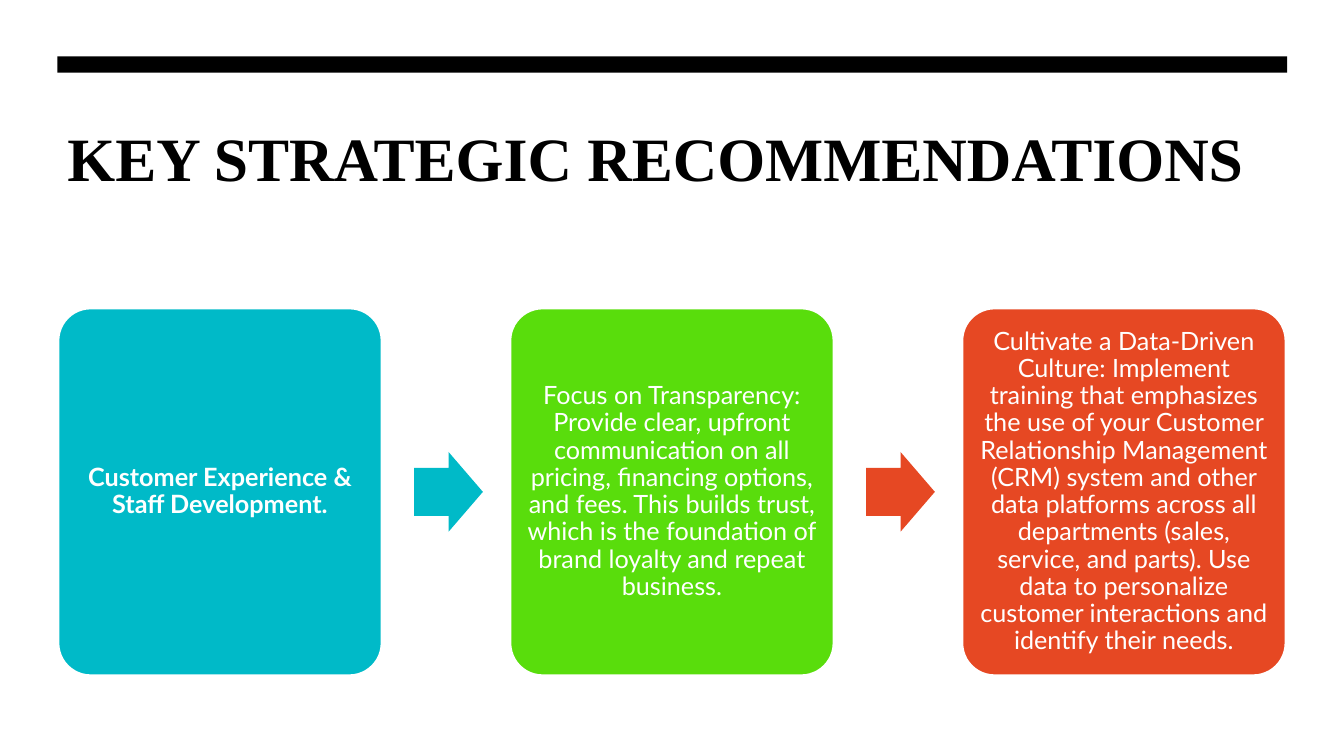
from dataclasses import dataclass

from pptx import Presentation
from pptx.dml.color import RGBColor
from pptx.enum.shapes import MSO_SHAPE as Shape
from pptx.enum.text import MSO_ANCHOR as Anchor, PP_ALIGN as Align
from pptx.shapes.autoshape import Shape as AutoShape
from pptx.slide import Slide
from pptx.text.text import TextFrame
from pptx.util import Cm, Pt


@dataclass(frozen=True)
class Theme:
    white: str = "FFFFFF"
    black: str = "000000"
    teal: str = "00BAC8"
    green: str = "59DD0C"
    red: str = "E64823"
    title_font: str = "Times New Roman"
    body_font: str = "Lato"
    title_size: float = 44
    body_size: float = 18
    outline: float = 1.5


@dataclass(frozen=True)
class Box:
    left: float
    top: float
    width: float
    height: float

    def emu(self) -> tuple[Cm, Cm, Cm, Cm]:
        return Cm(self.left), Cm(self.top), Cm(self.width), Cm(self.height)


@dataclass(frozen=True)
class Recommendation:
    text: str
    fill: str
    arrow: str | None = None
    bold: bool = False


THEME = Theme()
RULE = Box(1.45, 1.42, 30.99, 0.41)
TITLE = Box(1.45, 2.9, 30.99, 3.88)
CARD = Box(1.47, 7.77, 8.15, 9.25)
CARD_PITCH = 11.39
ARROW_GAP = 0.82
ARROW_WIDTH = 1.73
ARROW_HEIGHT = 2.01

RECOMMENDATIONS = [
    Recommendation(
        "Customer Experience & Staff Development.",
        THEME.teal, arrow=THEME.teal, bold=True,
    ),
    Recommendation(
        "Focus on Transparency: Provide clear, upfront communication on all "
        "pricing, financing options, and fees. This builds trust, which is the "
        "foundation of brand loyalty and repeat business.",
        THEME.green, arrow=THEME.red,
    ),
    Recommendation(
        "Cultivate a Data-Driven Culture: Implement training that emphasizes "
        "the use of your Customer Relationship Management (CRM) system and "
        "other data platforms across all departments (sales, service, and "
        "parts). Use data to personalize customer interactions and identify "
        "their needs.",
        THEME.red,
    ),
]


def write(tf: TextFrame, text: str, *, font: str, size: float, color: str,
          bold: bool = False, align: Align = Align.LEFT,
          anchor: Anchor = Anchor.TOP, spacing: float = 1.0,
          margin: float | None = None) -> None:
    tf.word_wrap = True
    tf.vertical_anchor = anchor
    if margin is not None:
        tf.margin_left = tf.margin_right = Cm(margin)
        tf.margin_top = tf.margin_bottom = Cm(margin)
    p = tf.paragraphs[0]
    p.alignment = align
    p.line_spacing = spacing
    r = p.add_run()
    r.text = text
    r.font.name = font
    r.font.size = Pt(size)
    r.font.bold = bold
    r.font.color.rgb = RGBColor.from_string(color)


def add_block(s: Slide, kind: Shape, box: Box, fill: str,
              line: str | None = None) -> AutoShape:
    sp = s.shapes.add_shape(kind, *box.emu())
    sp.shadow.inherit = False
    sp.fill.solid()
    sp.fill.fore_color.rgb = RGBColor.from_string(fill)
    if line:
        sp.line.color.rgb = RGBColor.from_string(line)
        sp.line.width = Pt(THEME.outline)
    else:
        sp.line.fill.background()
    return sp


def add_card(s: Slide, rec: Recommendation, box: Box) -> None:
    sp = add_block(s, Shape.ROUNDED_RECTANGLE, box, rec.fill, THEME.white)
    sp.adjustments[0] = 0.1
    write(sp.text_frame, rec.text, font=THEME.body_font, size=THEME.body_size,
          color=THEME.white, bold=rec.bold, align=Align.CENTER,
          anchor=Anchor.MIDDLE, spacing=0.9, margin=0.18)


def add_arrow(s: Slide, card: Box, fill: str) -> None:
    box = Box(card.left + card.width + ARROW_GAP,
              card.top + (card.height - ARROW_HEIGHT) / 2,
              ARROW_WIDTH, ARROW_HEIGHT)
    sp = add_block(s, Shape.RIGHT_ARROW, box, fill)
    sp.adjustments[0] = 0.6
    sp.adjustments[1] = 0.5


def main() -> None:
    prs = Presentation()
    prs.slide_width, prs.slide_height = Cm(33.87), Cm(19.05)
    s = prs.slides.add_slide(prs.slide_layouts[6])
    s.background.fill.solid()
    s.background.fill.fore_color.rgb = RGBColor.from_string(THEME.white)

    title = s.shapes.add_textbox(*TITLE.emu())
    write(title.text_frame, "KEY STRATEGIC RECOMMENDATIONS",
          font=THEME.title_font, size=THEME.title_size, color=THEME.black,
          bold=True)
    add_block(s, Shape.RECTANGLE, RULE, THEME.black)

    for i, rec in enumerate(RECOMMENDATIONS):
        box = Box(CARD.left + i * CARD_PITCH, CARD.top, CARD.width, CARD.height)
        add_card(s, rec, box)
        if rec.arrow:
            add_arrow(s, box, rec.arrow)

    prs.save("out.pptx")


if __name__ == "__main__":
    main()
